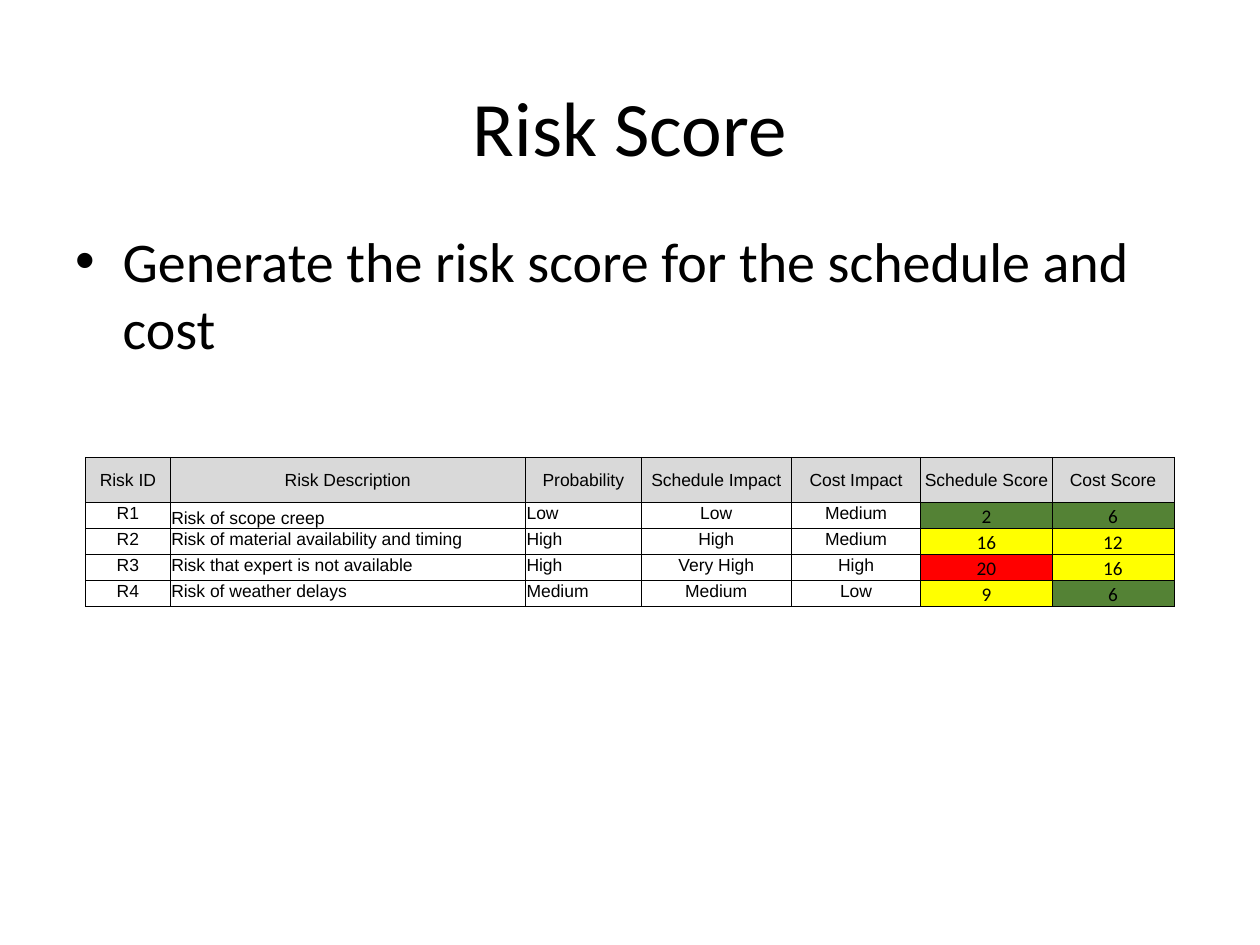
from lxml import etree
from pptx import Presentation
from pptx.dml.color import RGBColor
from pptx.enum.text import MSO_ANCHOR, PP_ALIGN
from pptx.oxml.ns import qn
from pptx.util import Inches, Pt

LEFT, CENTER = PP_ALIGN.LEFT, PP_ALIGN.CENTER
TOP, MIDDLE, BOTTOM = MSO_ANCHOR.TOP, MSO_ANCHOR.MIDDLE, MSO_ANCHOR.BOTTOM

BLACK = RGBColor(0x00, 0x00, 0x00)
HEADER_GRAY = RGBColor(0xD9, 0xD9, 0xD9)
LOW_GREEN = RGBColor(0x54, 0x82, 0x35)
MEDIUM_YELLOW = RGBColor(0xFF, 0xFF, 0x00)
HIGH_RED = RGBColor(0xFF, 0x00, 0x00)

SLIDE_WIDTH, SLIDE_HEIGHT = Inches(10), Inches(7.5)
MARGIN = 0.05
COLUMN_WIDTHS = (0.67, 2.82, 0.92, 1.19, 1.03, 1.04, 0.97)
HEADER_HEIGHT, RISK_HEIGHT = 0.36, 0.207
DESCRIPTION, PROBABILITY, FIRST_SCORE = 1, 2, 5

HEADINGS = ("Risk ID", "Risk Description", "Probability", "Schedule Impact",
            "Cost Impact", "Schedule Score", "Cost Score")
RISKS = (
    ("R1", "Risk of scope creep", "Low", "Low", "Medium", 2, 6),
    ("R2", "Risk of material availability and timing", "High", "High", "Medium", 16, 12),
    ("R3", "Risk that expert is not available", "High", "Very High", "High", 20, 16),
    ("R4", "Risk of weather delays", "Medium", "Medium", "Low", 9, 6),
)


def share_box(left, top, width, height):
    """Turn shares of the slide into a left, top, width, height tuple."""
    return (int(left * SLIDE_WIDTH), int(top * SLIDE_HEIGHT),
            int(width * SLIDE_WIDTH), int(height * SLIDE_HEIGHT))


def write_text(frame, text, size=10, font="Arial", align=CENTER, color=BLACK):
    """Write one formatted paragraph into a text frame and return it."""
    paragraph = frame.paragraphs[0]
    paragraph.alignment = align
    run = paragraph.add_run()
    run.text = text
    run.font.size = Pt(size)
    run.font.name = font
    run.font.color.rgb = color
    return paragraph


def add_title(slide, text):
    """Place and fill the title placeholder."""
    title = slide.shapes.title
    title.left, title.top, title.width, title.height = share_box(
        MARGIN, 0.05, 1 - 2 * MARGIN, 1 / 6)
    title.text_frame.vertical_anchor = MIDDLE
    write_text(title.text_frame, text, size=44, font="Calibri")


def add_bullet(slide, text):
    """Add the bulleted statement below the title."""
    statement = slide.shapes.add_textbox(*share_box(MARGIN, 0.233, 1 - 2 * MARGIN, 0.66))
    statement.text_frame.word_wrap = True
    paragraph = write_text(statement.text_frame, text, size=32, font="Calibri", align=LEFT)
    paragraph.space_before = Pt(6.4)
    properties = paragraph._p.get_or_add_pPr()
    properties.set("marL", str(Inches(0.375)))
    properties.set("indent", str(-Inches(0.375)))
    etree.SubElement(properties, qn("a:buFont")).set("typeface", "Arial")
    etree.SubElement(properties, qn("a:buChar")).set("char", "•")


def add_borders(cell):
    """Draw a thin black line on all four sides of a cell."""
    properties = cell._tc.get_or_add_tcPr()
    for position, side in enumerate(("lnL", "lnR", "lnT", "lnB")):
        border = etree.Element(qn(f"a:{side}"), w=str(Pt(0.5)))
        fill = etree.SubElement(border, qn("a:solidFill"))
        etree.SubElement(fill, qn("a:srgbClr")).set("val", str(BLACK))
        properties.insert(position, border)


def write_cell(cell, text, fill=None, anchor=TOP, **text_format):
    """Fill, frame and write one table cell."""
    cell.margin_left = cell.margin_right = cell.margin_top = Inches(0.01)
    cell.margin_bottom = 0
    cell.vertical_anchor = anchor
    if fill is None:
        cell.fill.background()
    else:
        cell.fill.solid()
        cell.fill.fore_color.rgb = fill
    add_borders(cell)
    write_text(cell.text_frame, text, **text_format)


def score_color(score):
    """Rate a score as low, medium or high."""
    if score >= 20:
        return HIGH_RED
    return MEDIUM_YELLOW if score >= 9 else LOW_GREEN


def add_risk_table(slide):
    """Add the risk register with its coloured scores."""
    height = HEADER_HEIGHT + RISK_HEIGHT * len(RISKS)
    register = slide.shapes.add_table(
        len(RISKS) + 1, len(HEADINGS), Inches(0.68), Inches(3.63),
        Inches(sum(COLUMN_WIDTHS)), Inches(height)).table
    register.first_row = register.horz_banding = False
    for column, width in zip(register.columns, COLUMN_WIDTHS):
        column.width = Inches(width)
    for index, row in enumerate(register.rows):
        row.height = Inches(RISK_HEIGHT if index else HEADER_HEIGHT)
    for column, heading in enumerate(HEADINGS):
        write_cell(register.cell(0, column), heading, fill=HEADER_GRAY, anchor=MIDDLE)
    for row, risk in enumerate(RISKS, start=1):
        for column, value in enumerate(risk):
            cell = register.cell(row, column)
            if column >= FIRST_SCORE:
                write_cell(cell, str(value), fill=score_color(value), anchor=BOTTOM,
                           size=11, font="Calibri")
            else:
                first_description = row == 1 and column == DESCRIPTION
                write_cell(cell, value, anchor=BOTTOM if first_description else TOP,
                           align=LEFT if column in (DESCRIPTION, PROBABILITY) else CENTER)


def main():
    """Build and save the risk score slide."""
    presentation = Presentation()
    presentation.slide_width, presentation.slide_height = SLIDE_WIDTH, SLIDE_HEIGHT
    slide = presentation.slides.add_slide(presentation.slide_layouts.get_by_name("Title Only"))
    add_title(slide, "Risk Score")
    add_bullet(slide, "Generate the risk score for the schedule and cost")
    add_risk_table(slide)
    presentation.save("out.pptx")


main()
